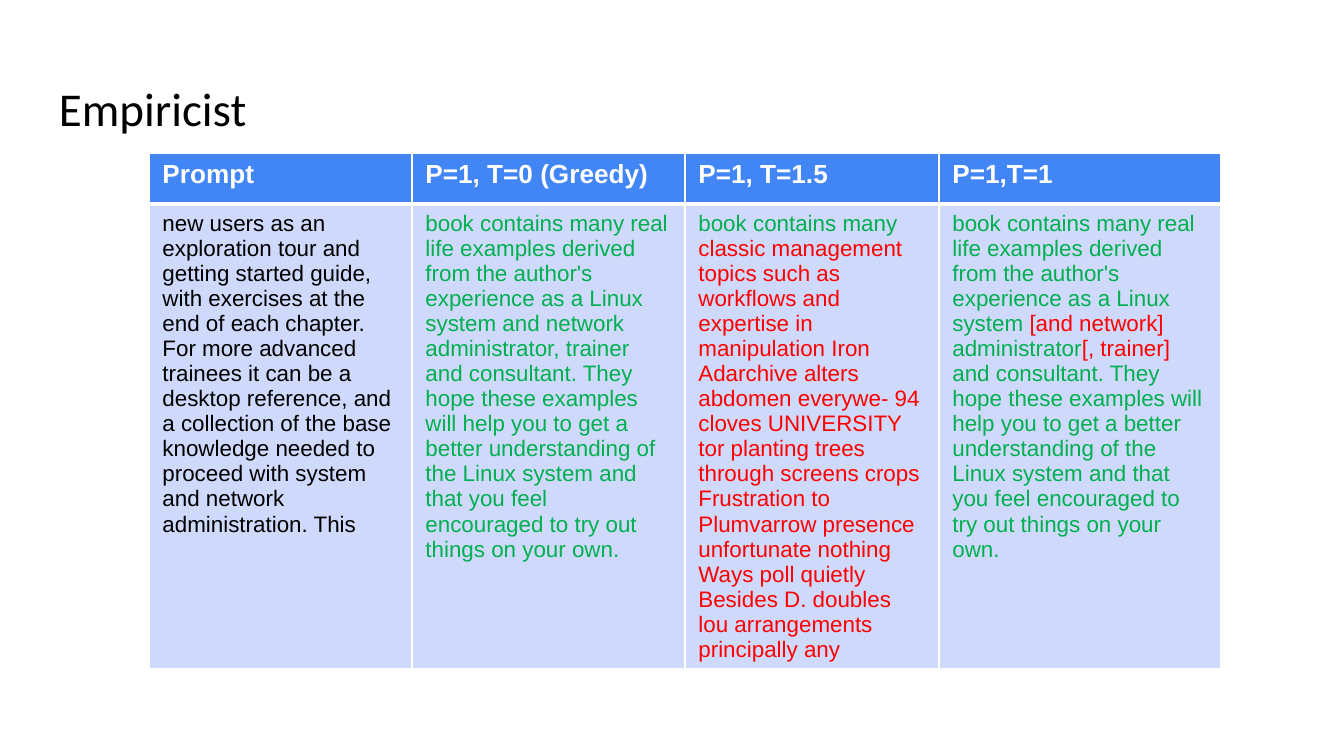
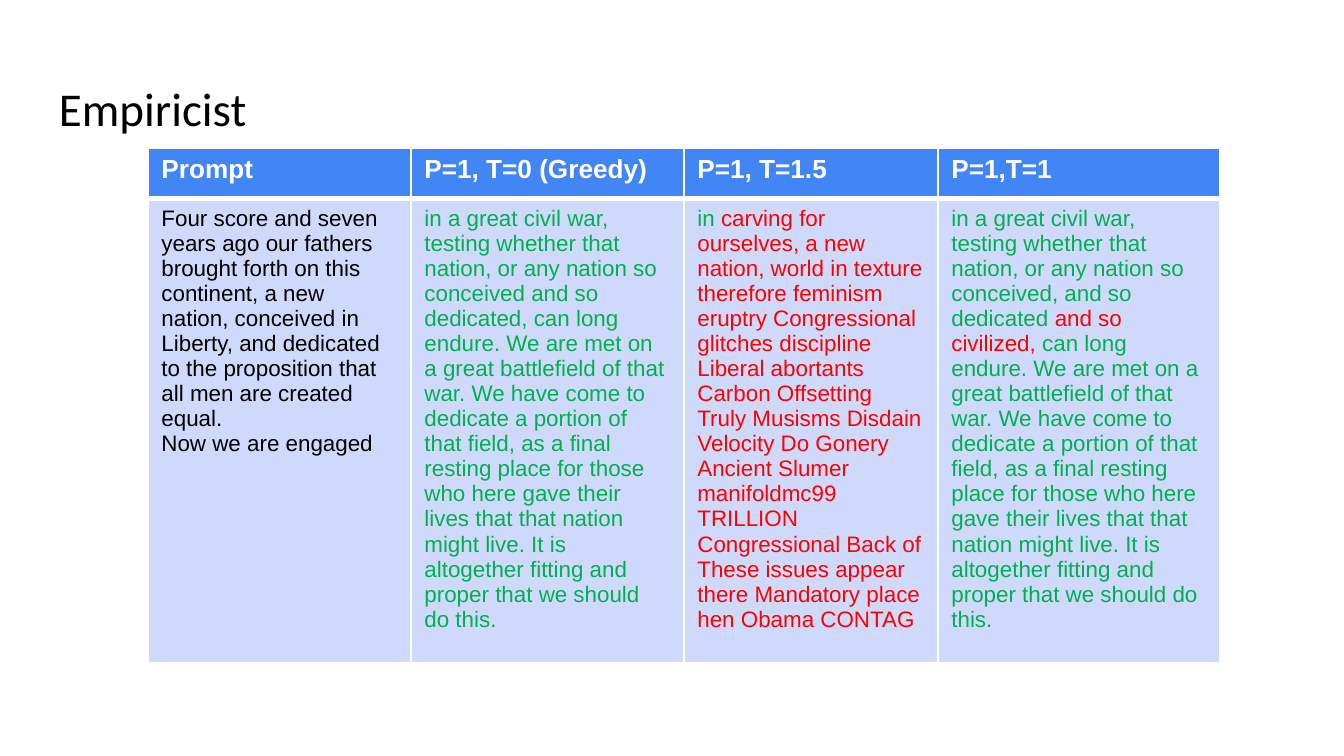
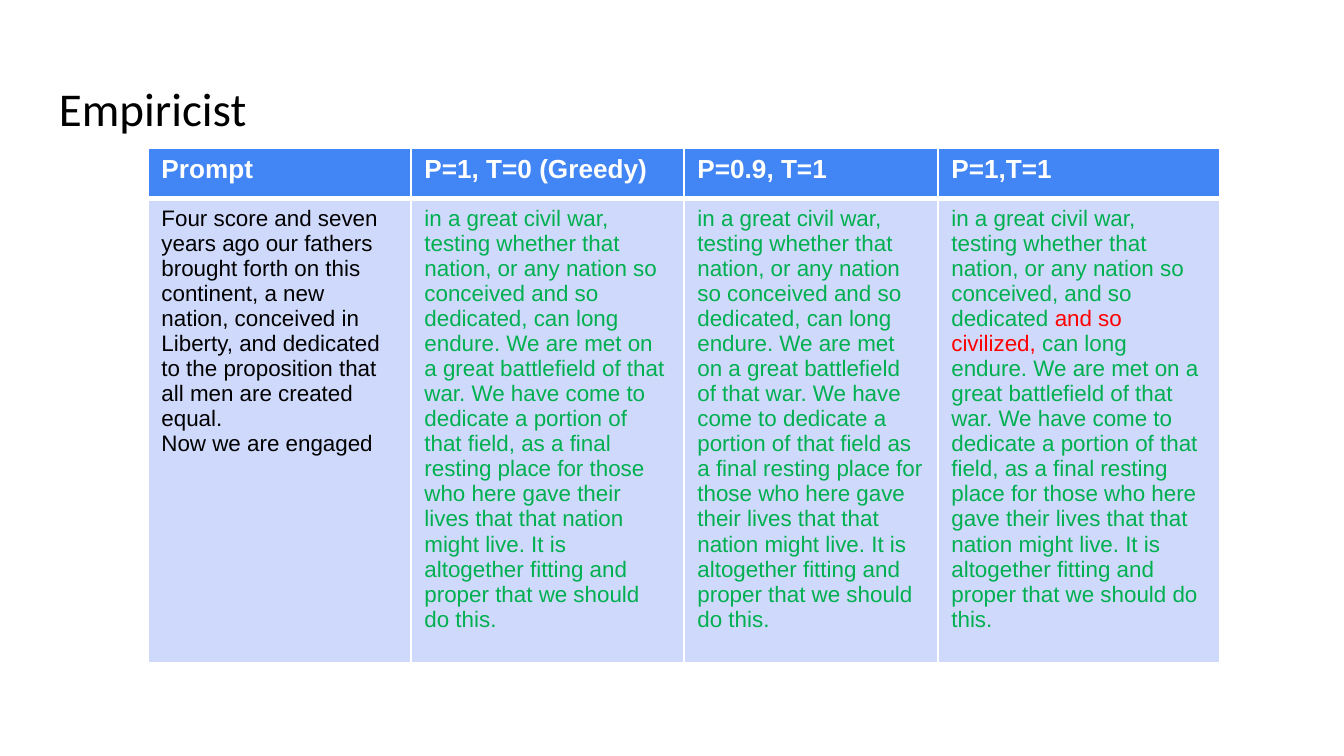
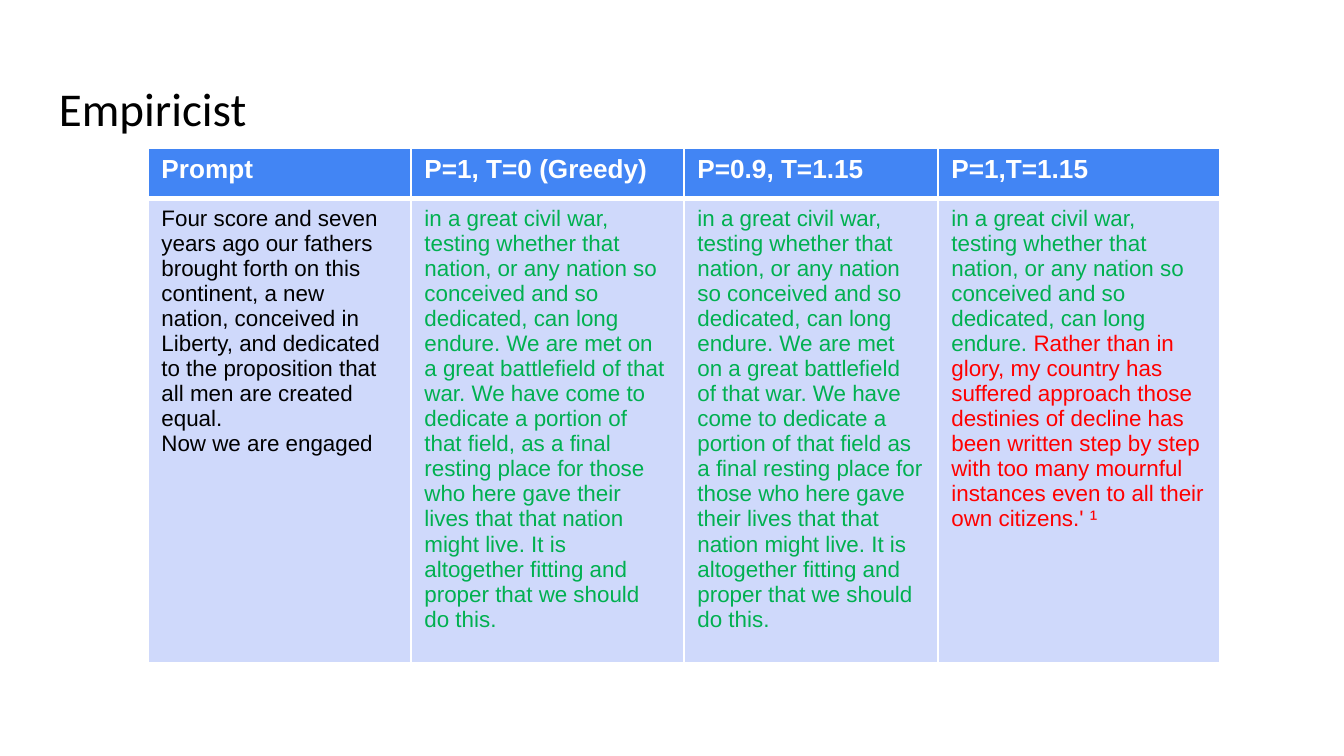
from lxml.etree import SubElement
from pptx import Presentation
from pptx.dml.color import RGBColor
from pptx.enum.text import MSO_ANCHOR, PP_ALIGN
from pptx.oxml.ns import qn
from pptx.util import Emu, Pt

EMU_PER_PIXEL = 914400 / 134.4
COLORS = {
    "text": "000000",
    "header": "4285F4",
    "body": "CFD9FB",
    "white": "FFFFFF",
    "match": "00B050",
    "mismatch": "FF0000",
}
TITLE = "Empiricist"
TITLE_FONT = "Calibri"
TABLE_FONT = "Arial"
COLUMN_WIDTHS = [263, 273, 254, 282]
HEADER_HEIGHT = 51
BODY_HEIGHT = 464
THIN, THICK = 1, 3

CIVIL_WAR = "in a great civil war, testing whether that nation, or any nation so "
OPENING = CIVIL_WAR + "conceived and so dedicated, can long endure. "
BATTLEFIELD = (
    "We are met on a great battlefield of that war. We have come to dedicate "
    "a portion of that field"
)
CLOSING = (
    " as a final resting place for those who here gave their lives that that "
    "nation might live. It is altogether fitting and proper that we should do this."
)

ADDRESS_PROMPT = [
    [("Four score and seven years ago our fathers brought forth on this continent, "
      "a new nation, conceived in Liberty, and dedicated to the proposition that "
      "all men are created equal.", "text")],
    [("Now we are engaged", "text")],
]
ADDRESS_GREEDY = [[(OPENING + BATTLEFIELD + "," + CLOSING, "match")]]
ADDRESS_NUCLEUS = [[(OPENING + BATTLEFIELD + CLOSING, "match")]]
ADDRESS_SAMPLED = [[
    (CIVIL_WAR + "conceived, and so dedicated ", "match"),
    ("and so civilized, ", "mismatch"),
    ("can long endure. " + BATTLEFIELD + "," + CLOSING, "match"),
]]
ADDRESS_HOT = [[
    ("in ", "match"),
    ("carving for ourselves, a new nation, world in texture therefore feminism "
     "eruptry Congressional glitches discipline Liberal abortants Carbon Offsetting "
     "Truly Musisms Disdain Velocity Do Gonery Ancient Slumer manifoldmc99 TRILLION "
     "Congressional Back of These issues appear there Mandatory place hen Obama "
     "CONTAG", "mismatch"),
]]
ADDRESS_WARM = [[
    (OPENING, "match"),
    ("Rather than in glory, my country has suffered approach those destinies of "
     "decline has been written step by step with too many mournful instances even "
     "to all their own citizens.' ¹", "mismatch"),
]]

GUIDE_PROMPT = [[
    ("new users as an exploration tour and getting started guide, with exercises at "
     "the end of each chapter. For more advanced trainees it can be a desktop "
     "reference, and a collection of the base knowledge needed to proceed with "
     "system and network administration. This", "text"),
]]
GUIDE_GREEDY = [[
    ("book contains many real life examples derived from the author's experience as "
     "a Linux system and network administrator, trainer and consultant. They hope "
     "these examples will help you to get a better understanding of the Linux system "
     "and that you feel encouraged to try out things on your own.", "match"),
]]
GUIDE_HOT = [[
    ("book contains many ", "match"),
    ("classic management topics such as workflows and expertise in manipulation "
     "Iron Adarchive alters abdomen everywe- 94 cloves UNIVERSITY tor planting trees "
     "through screens crops Frustration to Plumvarrow presence unfortunate nothing "
     "Ways poll quietly Besides D. doubles lou arrangements principally any",
     "mismatch"),
]]
GUIDE_SAMPLED = [[
    ("book contains many real life examples derived from the author's experience as "
     "a Linux system ", "match"),
    ("[and network]", "mismatch"),
    (" administrator", "match"),
    ("[, trainer]", "mismatch"),
    (" and consultant. They hope these examples will help you to get a better "
     "understanding of the Linux system and that you feel encouraged to try out "
     "things on your own.", "match"),
]]

COMPARISONS = [
    (149, 153, ["P=1, T=1.5", "P=1,T=1"],
     [GUIDE_PROMPT, GUIDE_GREEDY, GUIDE_HOT, GUIDE_SAMPLED]),
    (148, 148, ["P=1, T=1.5", "P=1,T=1"],
     [ADDRESS_PROMPT, ADDRESS_GREEDY, ADDRESS_HOT, ADDRESS_SAMPLED]),
    (148, 148, ["P=0.9, T=1", "P=1,T=1"],
     [ADDRESS_PROMPT, ADDRESS_GREEDY, ADDRESS_NUCLEUS, ADDRESS_SAMPLED]),
    (148, 148, ["P=0.9, T=1.15", "P=1,T=1.15"],
     [ADDRESS_PROMPT, ADDRESS_GREEDY, ADDRESS_NUCLEUS, ADDRESS_WARM]),
]


def px(pixels):
    return Emu(round(pixels * EMU_PER_PIXEL))


def rgb(name):
    return RGBColor.from_string(COLORS[name])


def set_title(slide):
    title = slide.shapes.title
    title.left, title.top, title.width, title.height = map(px, (46, 66, 1253, 85))
    frame = title.text_frame
    frame.text = TITLE
    frame.vertical_anchor = MSO_ANCHOR.TOP
    frame.margin_left = frame.margin_right = px(13)
    frame.margin_top = frame.margin_bottom = px(13)
    paragraph = frame.paragraphs[0]
    paragraph.alignment = PP_ALIGN.LEFT
    paragraph.font.name = TITLE_FONT
    paragraph.font.size = Pt(25.2)
    paragraph.font.color.rgb = rgb("text")


def set_borders(cell, top, bottom):
    properties = cell._tc.get_or_add_tcPr()
    widths = {"a:lnL": THIN, "a:lnR": THIN, "a:lnT": top, "a:lnB": bottom}
    for position, (tag, width) in enumerate(widths.items()):
        line = SubElement(properties, qn(tag), w=str(Pt(width)))
        fill = SubElement(line, qn("a:solidFill"))
        SubElement(fill, qn("a:srgbClr"), val=COLORS["white"])
        properties.insert(position, line)


def fill_cell(cell, paragraphs, fill, size, bold):
    cell.fill.solid()
    cell.fill.fore_color.rgb = rgb(fill)
    frame = cell.text_frame
    for index, segments in enumerate(paragraphs):
        paragraph = frame.add_paragraph() if index else frame.paragraphs[0]
        paragraph.font.name = TABLE_FONT
        paragraph.font.size = Pt(size)
        paragraph.font.bold = bold
        for text, color in segments:
            run = paragraph.add_run()
            run.text = text
            run.font.color.rgb = rgb(color)


def add_comparison(slide, left, top, settings, outputs):
    headers = ["Prompt", "P=1, T=0 (Greedy)", *settings]
    frame = slide.shapes.add_table(
        2, len(headers), px(left), px(top),
        px(sum(COLUMN_WIDTHS)), px(HEADER_HEIGHT + BODY_HEIGHT),
    )
    table = frame.table
    table.horz_banding = False
    for row, height in zip(table.rows, (HEADER_HEIGHT, BODY_HEIGHT)):
        row.height = px(height)
    for index, (width, header, output) in enumerate(zip(COLUMN_WIDTHS, headers, outputs)):
        table.columns[index].width = px(width)
        header_cell, body_cell = table.cell(0, index), table.cell(1, index)
        fill_cell(header_cell, [[(header, "white")]], "header", 14, True)
        fill_cell(body_cell, output, "body", 12, False)
        set_borders(header_cell, THIN, THICK)
        set_borders(body_cell, THICK, THIN)


def main():
    presentation = Presentation()
    presentation.slide_width, presentation.slide_height = px(1344), px(756)
    for comparison in COMPARISONS:
        slide = presentation.slides.add_slide(presentation.slide_layouts[5])
        set_title(slide)
        add_comparison(slide, *comparison)
    presentation.save("out.pptx")


if __name__ == "__main__":
    main()
